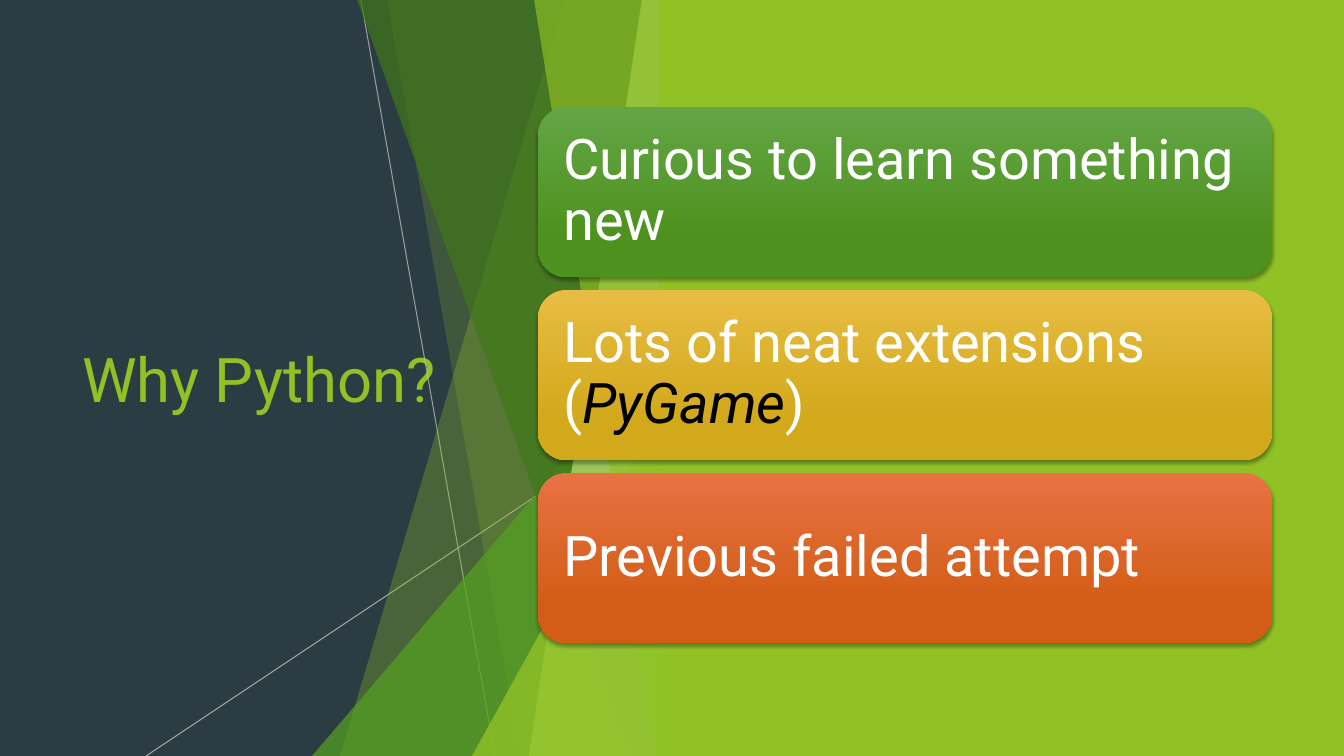
"""Builds the slide that gives the reasons for choosing Python."""
from lxml.etree import SubElement
from pptx import Presentation
from pptx.dml.color import RGBColor
from pptx.enum.shapes import MSO_CONNECTOR, MSO_SHAPE
from pptx.enum.text import MSO_ANCHOR, MSO_AUTO_SIZE, PP_ALIGN
from pptx.oxml.ns import qn
from pptx.util import Pt

EMU_PER_PX = 914400 / 100.8
WIDTH, HEIGHT = 1344, 756
FACET_RIGHT = 671
DARK, LIME, WHITE, BLACK, GREY = "2C3C43", "90C226", "FFFFFF", "000000", "BFBFBF"


def px(length):
    return round(length * EMU_PER_PX)


def color(hex_string):
    return RGBColor.from_string(hex_string)


class SlideBuilder:
    font = "Roboto"

    def __init__(self, prs):
        self.slide = prs.slides.add_slide(prs.slide_layouts[5])
        self.shapes = self.slide.shapes

    def background(self, hex_string):
        fill = self.slide.background.fill
        fill.solid()
        fill.fore_color.rgb = color(hex_string)

    def opacity(self, element, percent):
        for tint in element.iter(qn("a:srgbClr")):
            SubElement(tint, qn("a:alpha"), val=str(percent * 1000))

    def paint(self, shape, hex_string, percent=100):
        shape.shadow.inherit = False
        shape.line.fill.background()
        shape.fill.solid()
        shape.fill.fore_color.rgb = color(hex_string)
        if percent < 100:
            self.opacity(shape.fill._xPr, percent)

    def style_run(self, run, size, hex_string, italic=False):
        run.font.name = self.font
        run.font.size = Pt(size)
        run.font.italic = italic
        run.font.color.rgb = color(hex_string)

    def title(self, words, left, top, width, height):
        heading = self.shapes.title
        heading.left, heading.top = px(left), px(top)
        heading.width, heading.height = px(width), px(height)
        frame = heading.text_frame
        frame.text = words
        frame.word_wrap = True
        frame.auto_size = MSO_AUTO_SIZE.NONE
        frame.vertical_anchor = MSO_ANCHOR.MIDDLE
        frame.paragraphs[0].alignment = PP_ALIGN.LEFT
        self.style_run(frame.paragraphs[0].runs[0], 44, LIME)

    def ray(self, start, end, percent):
        ray = self.shapes.add_connector(
            MSO_CONNECTOR.STRAIGHT, *(px(value) for value in start + end))
        ray.line.width = Pt(0.75)
        ray.line.color.rgb = color(GREY)
        properties = ray._element.spPr
        self.opacity(properties, percent)
        SubElement(properties, qn("a:effectLst"))

    def facet(self, top_left, bottom_left, hex_string, percent):
        outline = self.shapes.build_freeform(top_left, -1, scale=EMU_PER_PX)
        outline.add_line_segments([
            (FACET_RIGHT, -1), (FACET_RIGHT, HEIGHT), (bottom_left, HEIGHT)])
        self.paint(outline.convert_to_shape(), hex_string, percent)

    def triangle(self, left, top, hex_string, percent):
        wedge = self.shapes.add_shape(
            MSO_SHAPE.ISOSCELES_TRIANGLE, px(left), px(top),
            px(FACET_RIGHT - left), px(HEIGHT - top))
        wedge.adjustments[0] = 1
        self.paint(wedge, hex_string, percent)

    def panel(self, left, top, width, height, hex_string):
        self.paint(self.shapes.add_shape(
            MSO_SHAPE.RECTANGLE, px(left), px(top), px(width), px(height)), hex_string)

    def card(self, left, top, width, height, gradient, parts):
        card = self.shapes.add_shape(
            MSO_SHAPE.ROUNDED_RECTANGLE, px(left), px(top), px(width), px(height))
        card.line.fill.background()
        card.fill.gradient()
        card.fill.gradient_angle = 270
        for stop, position, tint in zip(card.fill.gradient_stops, (0, 0.78), gradient):
            stop.position = position
            stop.color.rgb = color(tint)
        self.drop_shadow(card)
        frame = card.text_frame
        frame.word_wrap = True
        frame.vertical_anchor = MSO_ANCHOR.MIDDLE
        frame.margin_left = frame.margin_right = px(17)
        frame.margin_top = frame.margin_bottom = px(17)
        reason = frame.paragraphs[0]
        reason.alignment = PP_ALIGN.LEFT
        reason.line_spacing = 0.9
        for words, tint, italic in parts:
            run = reason.add_run()
            run.text = words
            self.style_run(run, 40, tint, italic)

    def drop_shadow(self, shape):
        shape.shadow.inherit = False
        effects = shape._element.spPr.find(qn("a:effectLst"))
        shadow = SubElement(effects, qn("a:outerShdw"), blurRad=str(Pt(3)),
                            dist=str(Pt(2)), dir="5400000", rotWithShape="0")
        SubElement(shadow, qn("a:srgbClr"), val=BLACK)
        self.opacity(shadow, 35)


def main():
    prs = Presentation()
    prs.slide_width, prs.slide_height = px(WIDTH), px(HEIGHT)
    builder = SlideBuilder(prs)
    builder.background(DARK)
    builder.title("Why Python?", 72, 152, 391, 452)

    builder.ray((361, 0), (495, HEIGHT), 75)
    builder.ray((FACET_RIGHT, 406), (146, HEIGHT), 80)
    builder.facet(565, 340, LIME, 30)
    builder.facet(387, 520, LIME, 20)
    builder.triangle(312, 336, "54A021", 72)
    builder.facet(357, 629, "3F7819", 70)
    builder.facet(642, 529, "C0E474", 70)
    builder.facet(534, 656, LIME, 65)
    builder.triangle(472, 396, LIME, 80)
    builder.panel(659, 0, WIDTH - 659, HEIGHT, LIME)

    reasons = [
        (("63A545", "4D921E"), [("Curious to learn something new", WHITE, False)]),
        (("E7BC43", "D2A91B"), [("Lots of neat extensions (", WHITE, False),
                                ("PyGame", BLACK, True), (")", WHITE, False)]),
        (("E87242", "D35D16"), [("Previous failed attempt", WHITE, False)]),
    ]
    for row, (gradient, parts) in enumerate(reasons):
        builder.card(538, 107 + 183 * row, 734, 170, gradient, parts)

    prs.save("out.pptx")


if __name__ == "__main__":
    main()
